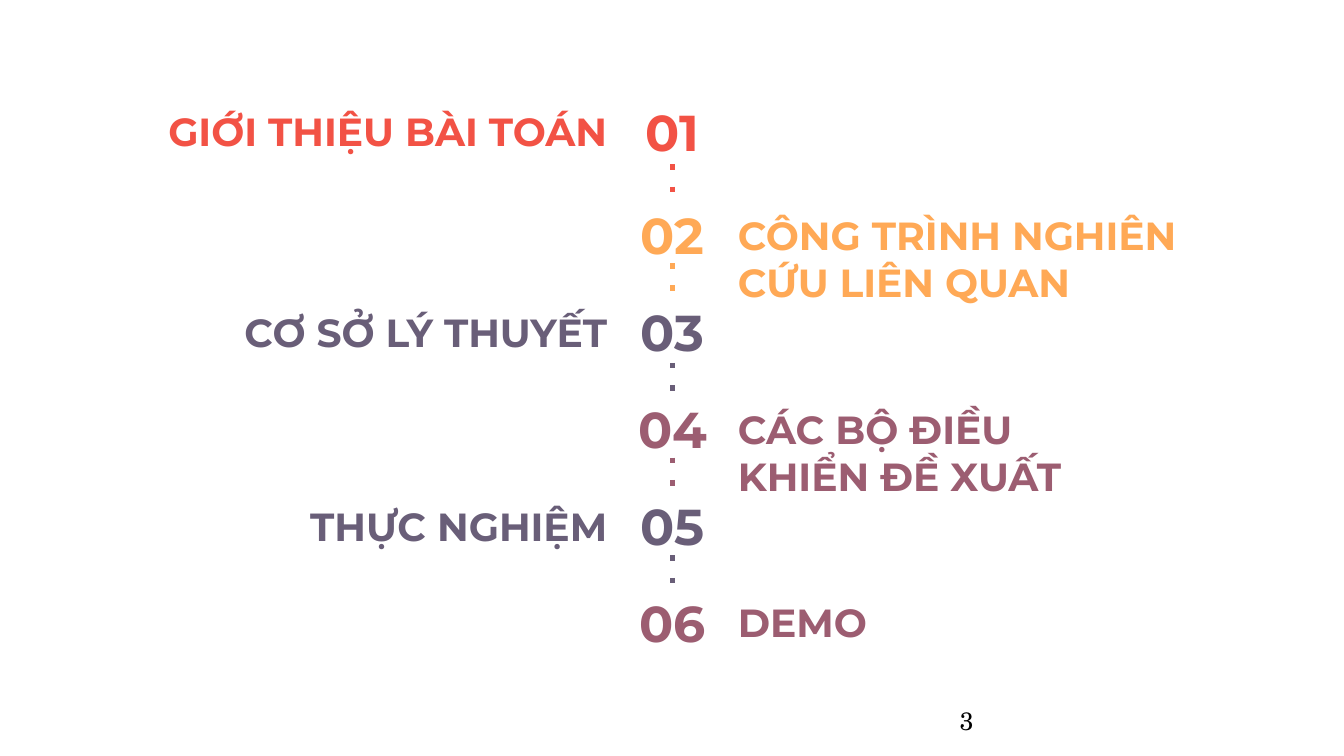
from dataclasses import dataclass
from lxml.etree import SubElement
from pptx import Presentation
from pptx.dml.color import RGBColor
from pptx.enum.dml import MSO_LINE
from pptx.enum.shapes import MSO_CONNECTOR
from pptx.enum.text import MSO_AUTO_SIZE, PP_ALIGN
from pptx.oxml.ns import qn
from pptx.util import Inches, Pt

TOPICS = [
    ("GIỚI THIỆU BÀI TOÁN", "coral", 4.66, 0.57, 1.63),
    ("CÔNG TRÌNH NGHIÊN CỨU LIÊN QUAN", "amber", 5.07, 1.04, 2.61),
    ("CƠ SỞ LÝ THUYẾT", "slate", 4.94, 0.57, 3.6),
    ("CÁC BỘ ĐIỀU KHIỂN ĐỀ XUẤT", "plum", 4.26, 1.04, 4.54),
    ("THỰC NGHIỆM", "slate", 3.23, 0.57, 5.51),
    ("DEMO", "plum", 2.88, 0.57, None),
]
PAGE = "3"


@dataclass(frozen=True)
class Theme:
    coral: str = "F25245"
    amber: str = "FFA956"
    slate: str = "695E78"
    plum: str = "9C5D71"
    black: str = "000000"
    font: str = "Montserrat"
    serif: str = "TeX Gyre Schola"
    number: int = 36
    label: int = 28
    page: int = 18
    dots: int = 4


THEME = Theme()
LEFT, WIDE, HIGH = 6.12, 1.1, 0.71
RIGHT = LEFT + WIDE
MID = LEFT + WIDE / 2
FIRST, SECOND, STEP = 0.95, 1.98, 0.96
DROP, DASH = 0.07, 0.4


def add_text(slide, text, box, size, color, align=PP_ALIGN.LEFT,
             font=THEME.font, bold=True, fit=MSO_AUTO_SIZE.SHAPE_TO_FIT_TEXT):
    frame = slide.shapes.add_textbox(*map(Inches, box)).text_frame
    frame.word_wrap = True
    frame.auto_size = fit
    line = frame.paragraphs[0]
    line.text = text
    line.alignment = align
    line.font.name = font
    line.font.size = Pt(size)
    line.font.bold = bold
    line.font.color.rgb = RGBColor.from_string(color)


def add_dots(slide, top, color):
    x = Inches(MID)
    link = slide.shapes.add_connector(
        MSO_CONNECTOR.STRAIGHT, x, Inches(top), x, Inches(top + DASH))
    link.line.width = Pt(THEME.dots)
    link.line.color.rgb = RGBColor.from_string(color)
    link.line.dash_style = MSO_LINE.ROUND_DOT
    props = link._element.spPr
    props.find(".//" + qn("a:prstDash")).set("val", "dot")
    SubElement(props, qn("a:effectLst"))


def add_topic(slide, index, topic):
    text, tone, wide, high, dots = topic
    color = getattr(THEME, tone)
    top = SECOND + STEP * (index - 1) if index else FIRST
    add_text(slide, f"{index + 1:02}", (LEFT, top, WIDE, HIGH),
             THEME.number, color, PP_ALIGN.CENTER)
    if index % 2:
        left, align = RIGHT, PP_ALIGN.LEFT
    else:
        left, align = LEFT - wide, PP_ALIGN.RIGHT
    add_text(slide, text, (left, top + DROP, wide, high),
             THEME.label, color, align)
    if dots is not None:
        add_dots(slide, dots, color)


def main():
    deck = Presentation()
    deck.slide_width, deck.slide_height = Inches(13.33), Inches(7.5)
    slide = deck.slides.add_slide(deck.slide_layouts[6])
    for index, topic in enumerate(TOPICS):
        add_topic(slide, index, topic)
    add_text(slide, PAGE, (9.42, 6.95, 3, 0.4), THEME.page, THEME.black,
             font=THEME.serif, bold=False, fit=MSO_AUTO_SIZE.NONE)
    deck.save("out.pptx")


if __name__ == "__main__":
    main()
